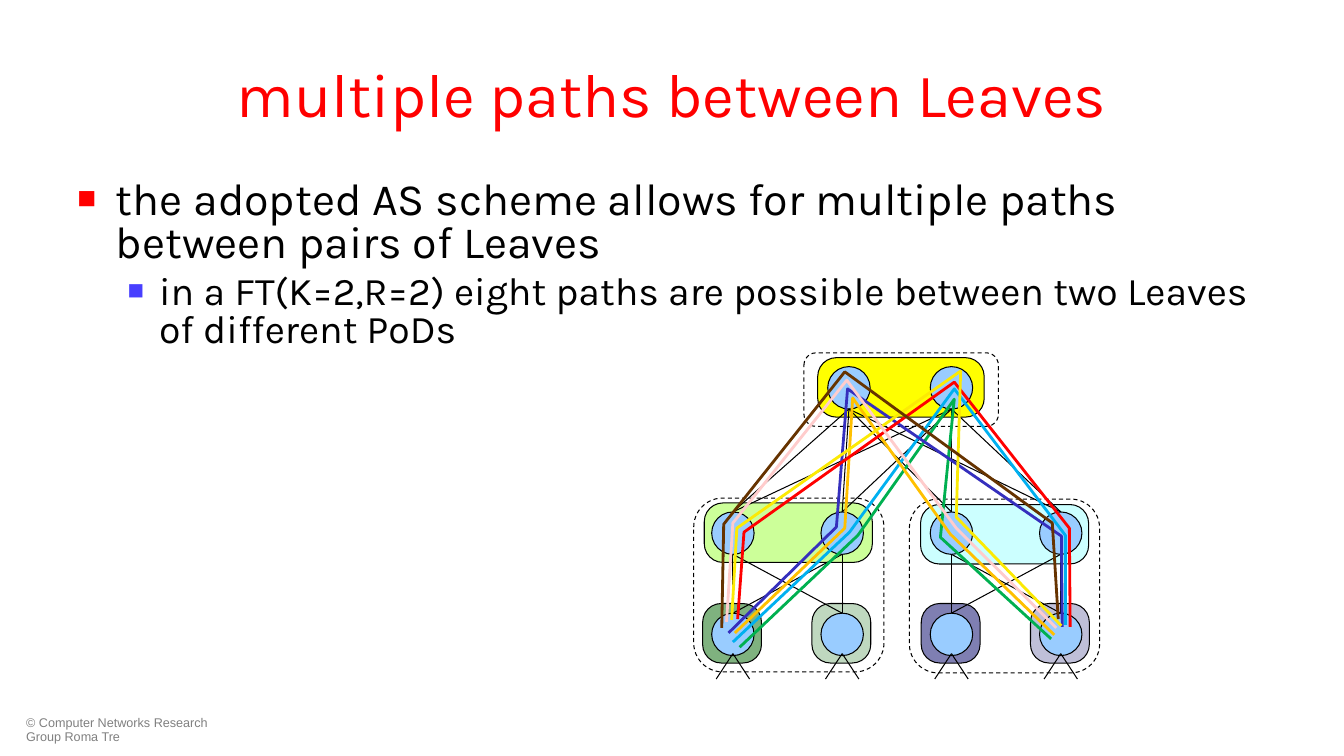
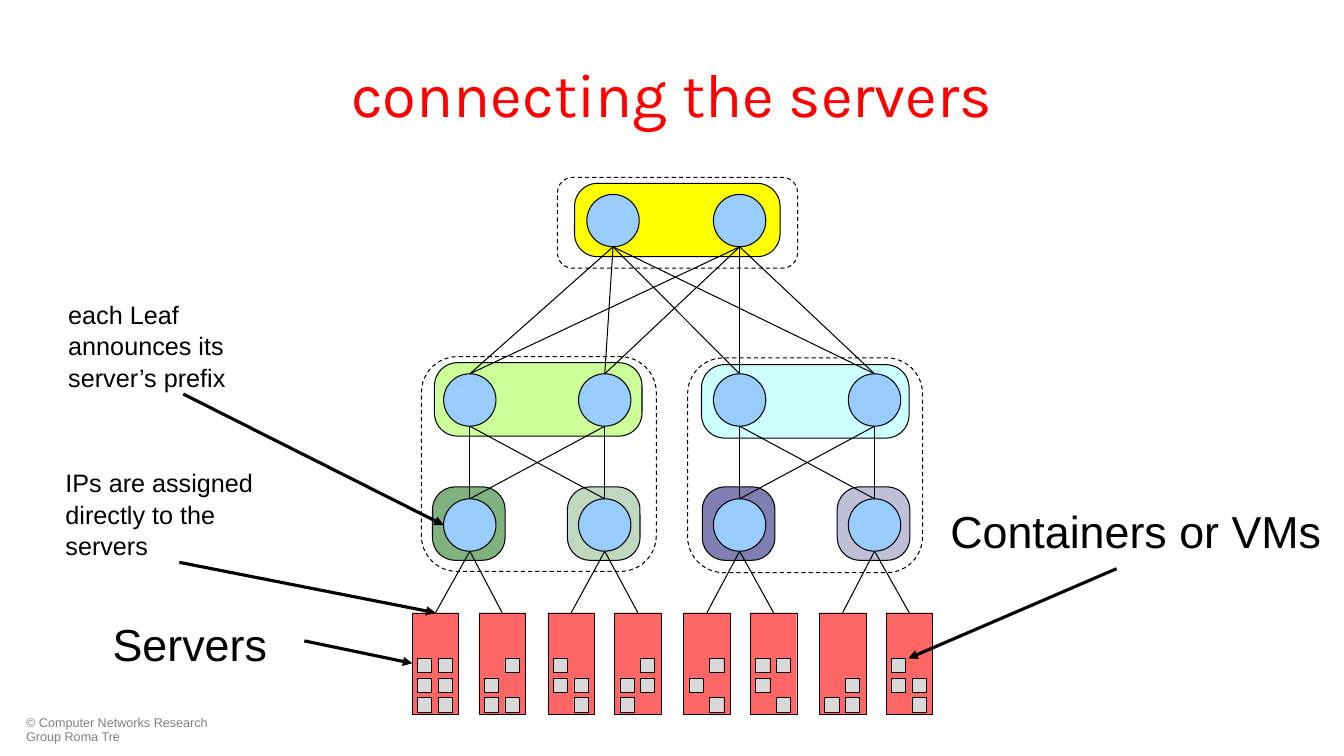
import dataclasses
import itertools

import lxml.etree
import pptx
import pptx.dml.color
import pptx.enum.dml
import pptx.enum.shapes
import pptx.enum.text
import pptx.oxml.ns
import pptx.util

Cm = pptx.util.Cm
Pt = pptx.util.Pt
qn = pptx.oxml.ns.qn
SHAPE = pptx.enum.shapes.MSO_SHAPE


@dataclasses.dataclass(frozen=True)
class Theme:
    heading_font: str = "Karla"
    plain_font: str = "Arial"
    title_size: int = 44
    body_sizes: tuple = (32, 28)
    label_size: int = 32
    note_size: int = 18
    footer_size: int = 9
    title: str = "FF0000"
    text: str = "000000"
    footer: str = "808080"
    bullets: tuple = ("FF0000", "483FFF")
    line: str = "000000"
    node: str = "99CCFF"
    top: str = "FFFF00"
    spines: tuple = ("CCFF99", "CCFFFF")
    # colour and opacity in percent
    leaves: tuple = (("006600", 50), ("006600", 25), ("000066", 50), ("000066", 25))
    server: str = "FF6666"
    container: str = "D9D9D9"


THEME = Theme()

# Fat tree at full scale, in cm from the first column and the top edge
PITCH = 3.4
COLUMNS = [PITCH * i for i in range(4)]
TOP_COLUMNS = (3.61, 6.8)
TOP_Y, SPINE_Y, LEAF_Y = 1.09, 5.61, 8.76
NODE = 1.32
SPINE_BOXES = ((-0.89, 4.67), (5.84, 4.72))
POD_FRAMES = ((-1.22, 4.52), (5.49, 4.55))

# Colour and points in cm, from back to front
LEAF_PATHS = (
    ("00B050", [(18.64, 16.31), (21.62, 13.49), (24.05, 10.06), (23.7, 13.54), (26.49, 16.1)]),
    ("00B0F0", [(18.47, 16.18), (21.41, 13.41), (24.05, 9.8), (26.85, 13.49), (26.85, 15.75)]),
    ("FFC000", [(18.52, 15.95), (21.29, 13.31), (21.49, 10.03), (23.95, 13.46), (26.57, 16)]),
    ("352FBD", [(18.36, 15.95), (21.08, 13.28), (21.36, 9.8), (26.75, 13.51), (26.77, 15.8)]),
    ("FF0000", [(18.59, 15.6), (18.75, 13.41), (24.05, 9.63), (26.95, 13.31), (26.97, 15.8)]),
    ("FCEA04", [(18.44, 15.62), (18.57, 13.31), (24.21, 9.35), (24.1, 13.03), (26.75, 15.77)]),
    ("FFCCCC", [(18.31, 15.67), (18.47, 13.18), (21.34, 9.58), (24.1, 13.31), (26.62, 15.82)]),
    ("663300", [(18.19, 15.82), (18.24, 13.21), (21.29, 9.37), (26.52, 13.18), (26.67, 15.6)]),
)

# Rows of containers in each server, from top to bottom
SERVERS = ("## ## ##", ".# #. ##", "#. ## .#", ".# ## #.",
           ".# #. .#", "## #. .#", ".. .# ##", "#. ## .#")


def rgb(color):
    return pptx.dml.color.RGBColor.from_string(color)


def set_line(sp, color, width):
    sp.line.color.rgb = rgb(color)
    sp.line.width = Pt(width)


def add_shape(slide, kind, box, fill=None, width=0.75, opacity=100, rounding=None):
    sp = slide.shapes.add_shape(kind, *map(Cm, box))
    sp.shadow.inherit = False
    if rounding is not None:
        sp.adjustments[0] = rounding
    if fill is None:
        sp.fill.background()
    else:
        sp.fill.solid()
        sp.fill.fore_color.rgb = rgb(fill)
    if opacity < 100:
        color = sp._element.spPr.find(qn("a:solidFill")).find(qn("a:srgbClr"))
        lxml.etree.SubElement(color, qn("a:alpha")).set("val", str(opacity * 1000))
    set_line(sp, THEME.line, width)
    return sp


def add_line(slide, start, end, width=0.75, arrow=False, target=None, side=0):
    """Draw a straight line; a target rectangle replaces the end point."""
    sp = slide.shapes.add_connector(
        pptx.enum.shapes.MSO_CONNECTOR.STRAIGHT, *map(Cm, (*start, *end)))
    if target is not None:
        sp.end_connect(target, side)
    set_line(sp, THEME.line, width)
    spPr = sp._element.spPr
    if arrow:
        ln = spPr.find(qn("a:ln"))
        lxml.etree.SubElement(ln, qn("a:tailEnd")).set("type", "triangle")
    lxml.etree.SubElement(spPr, qn("a:effectLst"))
    return sp


def add_polyline(slide, points, color):
    emu = [(Cm(x), Cm(y)) for x, y in points]
    builder = slide.shapes.build_freeform(*emu[0])
    builder.add_line_segments(emu[1:], close=False)
    sp = builder.convert_to_shape()
    sp.shadow.inherit = False
    sp.fill.background()
    set_line(sp, color, 2)


def format_paragraph(p, size, color, font, spacing=None):
    p.line_spacing = spacing
    for r in p.runs:
        r.font.size = Pt(size)
        r.font.color.rgb = rgb(color)
        r.font.name = font


def add_text(slide, box, text, size, color=THEME.text, font=THEME.plain_font, spacing=None):
    sp = slide.shapes.add_textbox(*map(Cm, box))
    tf = sp.text_frame
    tf.word_wrap = True
    tf.text = text
    for p in tf.paragraphs:
        format_paragraph(p, size, color, font, spacing)
    return tf


def add_bullet(p, level, indent, hanging):
    p.level = level
    pPr = p._p.get_or_add_pPr()
    pPr.set("marL", str(Cm(indent)))
    pPr.set("indent", str(-Cm(hanging)))
    color = lxml.etree.SubElement(pPr, qn("a:buClr"))
    lxml.etree.SubElement(color, qn("a:srgbClr")).set("val", THEME.bullets[level])
    for tag, name, value in (("a:buSzPct", "val", "70000"),
                             ("a:buFont", "typeface", THEME.plain_font),
                             ("a:buChar", "char", "■")):
        lxml.etree.SubElement(pPr, qn(tag)).set(name, value)


def add_body(slide, box, items):
    """Write one bullet for each item, each a level deeper than the one before."""
    tf = add_text(slide, box, "\n".join(items), THEME.body_sizes[0])
    indents = ((0.97, 0.97), (2.06, 0.79))
    for level, p in enumerate(tf.paragraphs):
        size = THEME.body_sizes[level]
        format_paragraph(p, size, THEME.text, THEME.heading_font, 0.8)
        p.space_before = Pt(0.2 * size)
        add_bullet(p, level, *indents[level])


def add_slide(prs, title):
    slide = prs.slides.add_slide(prs.slide_layouts[6])
    add_text(slide, (0.41, 17.93, 5.87, 0.91), "© Computer Networks Research Group Roma Tre",
             THEME.footer_size, THEME.footer, spacing=0.9)
    tf = add_text(slide, (1.7, 0.76, 30.48, 3.18), title,
                  THEME.title_size, THEME.title, THEME.heading_font)
    tf.vertical_anchor = pptx.enum.text.MSO_ANCHOR.MIDDLE
    tf.paragraphs[0].alignment = pptx.enum.text.PP_ALIGN.CENTER
    return slide


def add_fat_tree(slide, left, top, scale=1):
    """Draw the tree and return the centres of its leaves in cm."""
    def place(x, y):
        return left + scale * x, top + scale * y

    def box(x, y, w, h):
        return (*place(x, y), scale * w, scale * h)

    def group(x, y, w, fill, opacity=100):
        add_shape(slide, SHAPE.ROUNDED_RECTANGLE, box(x, y, w, 1.85), fill,
                  opacity=opacity, rounding=0.315)

    def frame(x, y, w, h):
        sp = add_shape(slide, SHAPE.ROUNDED_RECTANGLE, box(x, y, w, h))
        sp.line.dash_style = pptx.enum.dml.MSO_LINE.DASH

    def link(upper, lower):
        for (x1, y1), (x2, y2) in itertools.product(upper, lower):
            add_line(slide, place(x1, y1 + NODE / 2), place(x2, y2 - NODE / 2))

    group(2.64, 0.15, 5.18, THEME.top)
    for x, (fill, opacity) in zip(COLUMNS, THEME.leaves):
        group(x - 0.94, 7.8, 1.83, fill, opacity)
    for (x, y), fill in zip(SPINE_BOXES, THEME.spines):
        group(x, y, 5.23, fill)

    tops = [(x, TOP_Y) for x in TOP_COLUMNS]
    spines = [(x, SPINE_Y) for x in COLUMNS]
    leaves = [(x, LEAF_Y) for x in COLUMNS]
    for x, y in tops + spines + leaves:
        add_shape(slide, SHAPE.OVAL, box(x - NODE / 2, y - NODE / 2, NODE, NODE), THEME.node)
    link(tops, spines)
    for pod in (slice(0, 2), slice(2, 4)):
        link(spines[pod], leaves[pod])

    for x, y in POD_FRAMES:
        frame(x, y, 5.92, 5.41)
    frame(2.21, 0, 6.05, 2.29)
    return [place(x, y) for x, y in leaves]


def add_server(slide, x, y, rows):
    server = add_shape(slide, SHAPE.RECTANGLE, (x, y, 1.17, 2.55), THEME.server, 0.25)
    for i, row in enumerate(rows.split()):
        for j, mark in enumerate(row):
            if mark == "#":
                add_shape(slide, SHAPE.RECTANGLE,
                          (x + 0.13 + 0.52 * j, y + 1.14 + 0.5 * i, 0.36, 0.36),
                          THEME.container, 0.25)
    return server


def add_label(slide, box, text, size, start, end=(0, 0), target=None, side=0):
    add_text(slide, box, text, size, spacing=1.05)
    add_line(slide, start, end, 2.25, True, target, side)


def build_paths_slide(prs):
    slide = add_slide(prs, "multiple paths between Leaves")
    scale = 0.81
    for x, y in add_fat_tree(slide, 18.47, 8.89, scale):
        bottom = y + scale * NODE / 2 - 0.05
        for dx in (-0.42, 0.42):
            add_line(slide, (x, bottom), (x + dx, bottom + 0.64))
    add_body(slide, (1.7, 4.45, 30.48, 4.52), (
        "the adopted AS scheme allows for multiple paths between pairs of Leaves",
        "in a FT(K=2,R=2) eight paths are possible between two Leaves of different PoDs"))
    for color, points in LEAF_PATHS:
        add_polyline(slide, points, color)


def build_servers_slide(prs):
    slide = add_slide(prs, "connecting the servers")
    leaves = add_fat_tree(slide, 11.84, 4.47)
    servers = []
    for i, rows in enumerate(SERVERS):
        pair, place = divmod(i, 2)
        server = add_server(slide, 10.39 + 3.42 * pair + 1.68 * place, 15.44, rows)
        x, y = leaves[pair]
        bottom = (x, y + NODE / 2)
        add_line(slide, bottom, bottom, target=server)
        servers.append(server)

    leaf_x, leaf_y = leaves[0]
    add_label(slide, (2.59, 15.34, 5.08, 1.63), "Servers", THEME.label_size,
              (7.67, 16.15), target=servers[0], side=1)
    add_label(slide, (23.7, 12.5, 10.1, 1.63), "Containers or VMs", THEME.label_size,
              (28.14, 14.33), (22.89, 16.59))
    add_label(slide, (1.4, 11.61, 6.27, 2.57), "IPs are assigned directly to the servers",
              THEME.note_size, (4.52, 14.17), target=servers[0])
    add_label(slide, (1.47, 7.37, 6.27, 2.57), "each Leaf announces its server’s prefix",
              THEME.note_size, (4.62, 9.93), (leaf_x - NODE / 2, leaf_y))


def main():
    prs = pptx.Presentation()
    prs.slide_width, prs.slide_height = Cm(33.87), Cm(19.05)
    build_paths_slide(prs)
    build_servers_slide(prs)
    prs.save("out.pptx")


if __name__ == "__main__":
    main()
